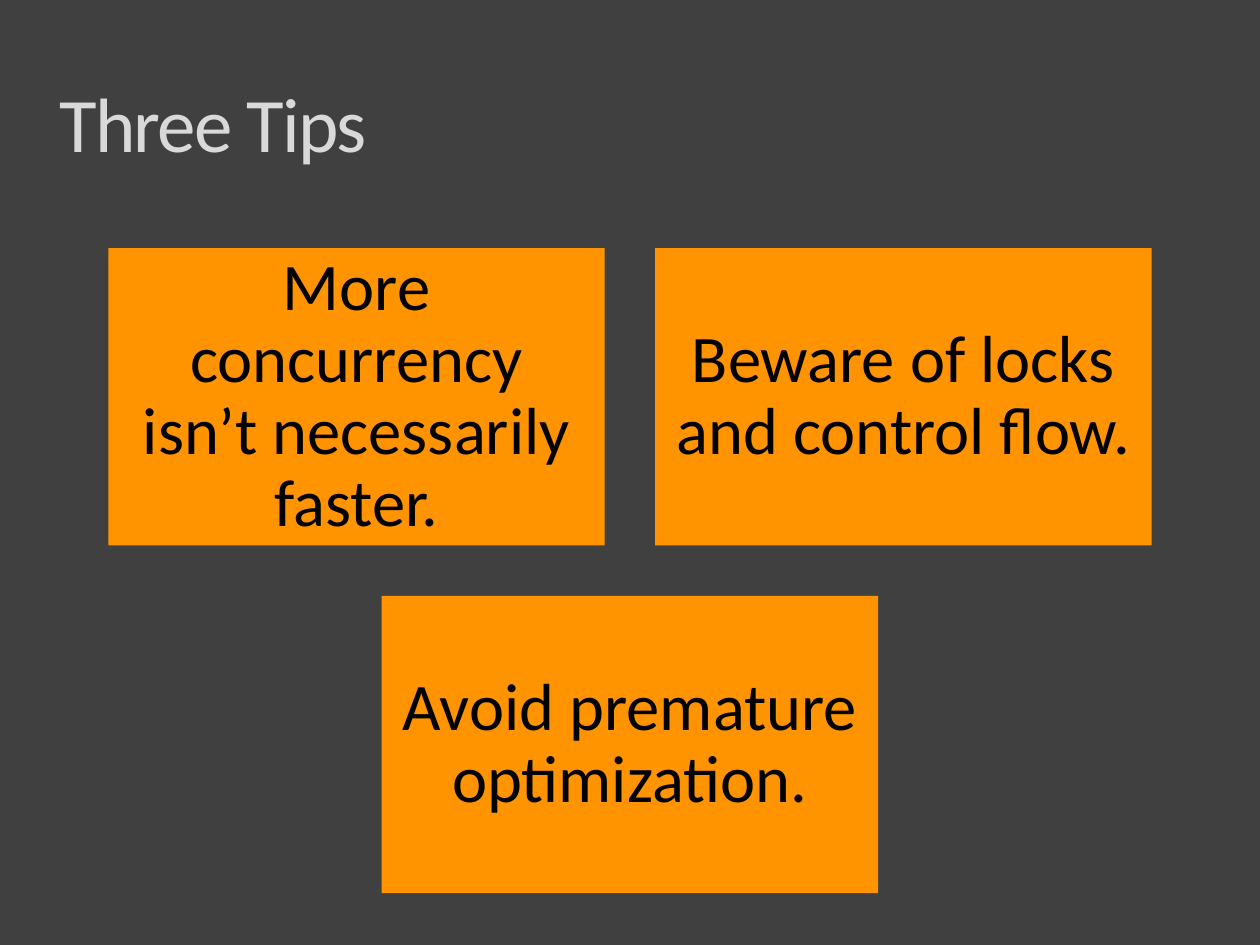
from dataclasses import dataclass

from pptx import Presentation
from pptx.dml.color import RGBColor
from pptx.enum.shapes import MSO_SHAPE
from pptx.enum.text import MSO_ANCHOR, MSO_AUTO_SIZE, PP_ALIGN
from pptx.slide import Slide
from pptx.text.text import TextFrame
from pptx.util import Inches, Pt

COLORS = {"background": "404040", "title": "D9D9D9", "tip": "FF9300", "text": "000000"}
SLIDE_W, SLIDE_H = 10, 7.5
TIP_W, TIP_H, GAP = 3.94, 2.36, 0.4
TIPS_TOP = 1.97
ROWS = [
    ["More concurrency isn’t necessarily faster.", "Beware of locks and control flow."],
    ["Avoid premature optimization."],
]


@dataclass
class Tip:
    text: str
    left: float
    top: float


def color(name: str) -> RGBColor:
    return RGBColor.from_string(COLORS[name])


def write(tf: TextFrame, text: str, *, size: float, fill: str, align: PP_ALIGN,
          anchor: MSO_ANCHOR, line_spacing: float, insets: tuple, tracking: int = 0) -> None:
    tf.word_wrap = True
    tf.auto_size = MSO_AUTO_SIZE.NONE
    tf.vertical_anchor = anchor
    tf.margin_left, tf.margin_top, tf.margin_right, tf.margin_bottom = map(Inches, insets)
    p = tf.paragraphs[0]
    p.alignment = align
    p.line_spacing = line_spacing
    r = p.add_run()
    r.text = text
    r.font.name = "Calibri"
    r.font.size = Pt(size)
    r.font.color.rgb = color(fill)
    if tracking:
        r.font._element.set("spc", str(tracking))


def add_title(s: Slide, text: str) -> None:
    sp = s.shapes.title
    sp.left, sp.top, sp.width, sp.height = map(Inches, (0.47, 0.7, 9.06, 0.79))
    write(sp.text_frame, text, size=44, fill="title", align=PP_ALIGN.LEFT,
          anchor=MSO_ANCHOR.TOP, line_spacing=0.8, insets=(0, 0.04, 0, 0), tracking=-100)


def add_tip(s: Slide, tip: Tip) -> None:
    sp = s.shapes.add_shape(MSO_SHAPE.RECTANGLE, Inches(tip.left), Inches(tip.top),
                            Inches(TIP_W), Inches(TIP_H))
    sp.shadow.inherit = False
    sp.fill.solid()
    sp.fill.fore_color.rgb = color("tip")
    sp.line.fill.background()
    write(sp.text_frame, tip.text, size=38, fill="text", align=PP_ALIGN.CENTER,
          anchor=MSO_ANCHOR.MIDDLE, line_spacing=0.9, insets=(0.16,) * 4)


def place_tips(rows: list[list[str]]) -> list[Tip]:
    tips = []
    for i, row in enumerate(rows):
        row_w = len(row) * TIP_W + (len(row) - 1) * GAP
        left = (SLIDE_W - row_w) / 2
        top = TIPS_TOP + i * (TIP_H + GAP)
        tips += [Tip(text, left + j * (TIP_W + GAP), top) for j, text in enumerate(row)]
    return tips


def main() -> None:
    prs = Presentation()
    prs.slide_width, prs.slide_height = Inches(SLIDE_W), Inches(SLIDE_H)
    s = prs.slides.add_slide(prs.slide_layouts[5])
    s.background.fill.solid()
    s.background.fill.fore_color.rgb = color("background")
    add_title(s, "Three Tips")
    for tip in place_tips(ROWS):
        add_tip(s, tip)
    prs.save("out.pptx")


if __name__ == "__main__":
    main()
